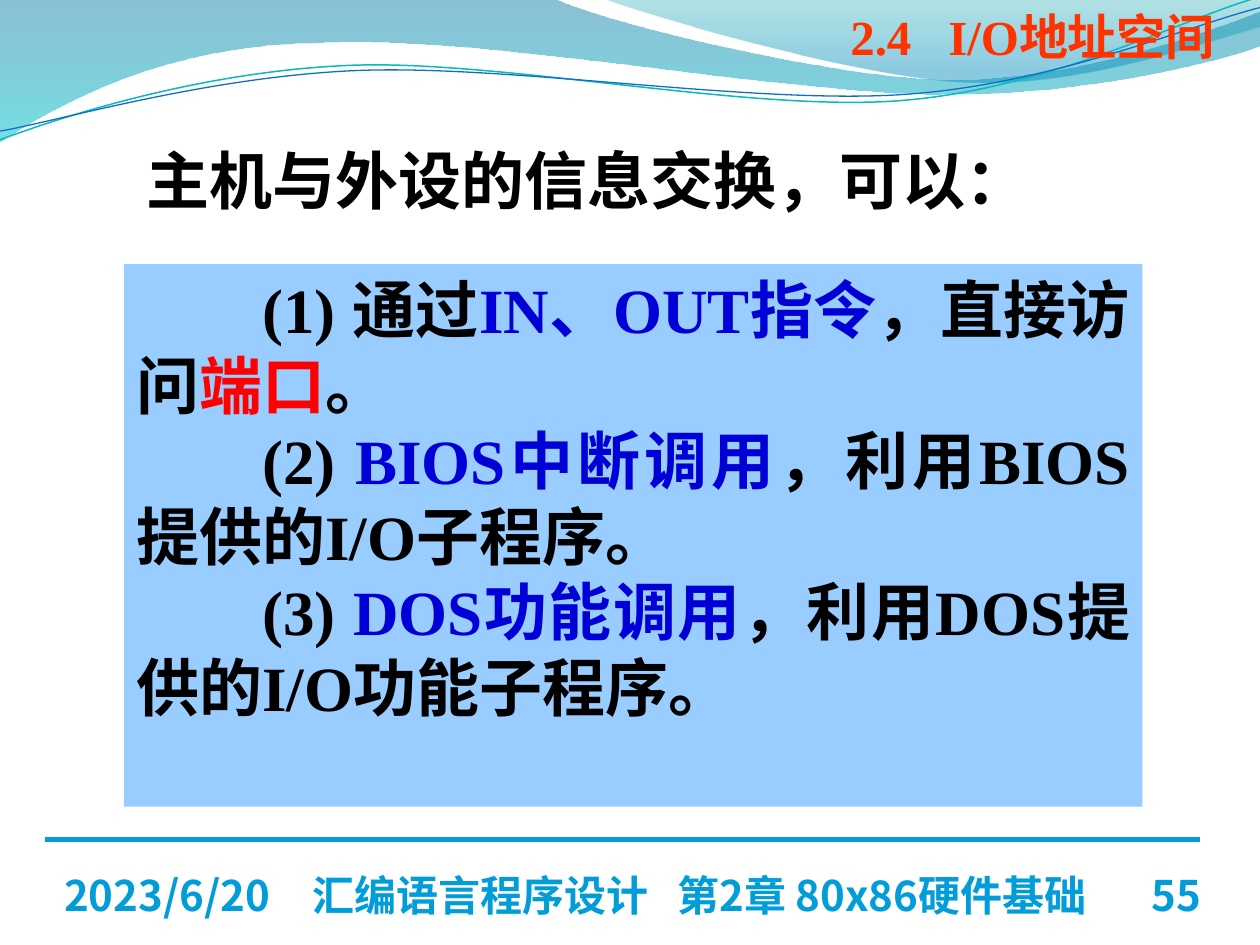
from dataclasses import dataclass

import lxml.etree
import pptx
import pptx.dml.color
import pptx.enum.shapes
import pptx.enum.text
import pptx.oxml.ns
import pptx.util

Pt = pptx.util.Pt
qn = pptx.oxml.ns.qn
Align = pptx.enum.text.PP_ALIGN
Anchor = pptx.enum.text.MSO_ANCHOR


@dataclass(frozen=True)
class Theme:
    serif: str = "Times New Roman"
    sans: str = "Noto Sans CJK JP"
    ink: str = "000000"
    term: str = "0000D6"
    alert: str = "FF0000"
    section: str = "FF3300"
    panel: str = "99CCFF"
    footer: str = "009DD9"
    teal_line: str = "0AB8BF"
    blue_line: str = "0F6FC6"
    body_size: int = 36
    section_size: int = 28
    footer_size: int = 24


THEME = Theme()

# Gradient stops: position, colour, opacity in percent
WIDE_STOPS = [(0, "0074A1", 45), (1, "00C6CF", 55)]
CORNER_STOPS = [(0, "00A1A9", 30), (0.8, "008BBF", 45)]

# Each step holds one point (straight) or three (Bezier curve)
WIDE_WAVE = [
    [(0, -0.7)], [(316.8, -0.7)],
    [(342.7, 12.2), (478.1, 45.4), (545.8, 45.4)],
    [(614.2, 45.4), (689.8, 18.7), (720, 6.5)],
    [(720.7, 25.9)],
    [(707.8, 31.7), (626.4, 54.7), (537.1, 54)],
    [(447.8, 54), (275, 20.2), (185, 24.5)],
    [(92.9, 25.2), (33.1, 59.8), (-0.7, 81.4)],
]
CORNER_WAVE = [
    [(344.9, -0.7)],
    [(366.5, 7.9), (491, 44.6), (553.7, 46.8)],
    [(616.3, 49.7), (691.9, 23), (720, 15.1)],
    [(720, 0)],
]
TEAL_CURVE = [
    [(0, 79.9)],
    [(34.6, 67), (113.8, 41), (199.4, 37.4)],
    [(284.4, 33.8), (427, 64.1), (513.4, 57.6)],
    [(599.8, 51.1), (675.4, 10.8), (718.6, -1.4)],
]
BLUE_CURVE = [
    [(0, 74.9)],
    [(33.8, 69.1), (118.1, 43.9), (203.8, 40.3)],
    [(290.2, 36.7), (429.8, 59.8), (516.2, 54)],
    [(601.9, 48.2), (677.5, 15.1), (720, 4.3)],
]

METHODS = [
    [("(1) 通过", THEME.ink), ("IN、OUT指令", THEME.term), ("，直接访问", THEME.ink),
     ("端口", THEME.alert), ("。", THEME.ink)],
    [("(2) ", THEME.ink), ("BIOS中断调用", THEME.term),
     ("，利用BIOS提供的I/O子程序。", THEME.ink)],
    [("(3) ", THEME.ink), ("DOS功能调用", THEME.term),
     ("，利用DOS提供的I/O功能子程序。", THEME.ink)],
]


def rgb(value):
    return pptx.dml.color.RGBColor.from_string(value)


def bend(outline, steps):
    """Join the three straight segments of each Bezier step into one curve."""
    segments = iter(list(outline._element.iter(qn("a:lnTo"))))
    for step in steps:
        parts = [next(segments) for _ in step]
        if len(parts) == 3:
            curve = lxml.etree.Element(qn("a:cubicBezTo"))
            parts[0].addprevious(curve)
            for part in parts:
                curve.append(part[0])
                part.getparent().remove(part)


def add_outline(slide, steps, closed):
    start, *rest = [(Pt(x), Pt(y)) for step in steps for x, y in step]
    builder = slide.shapes.build_freeform(*start)
    builder.add_line_segments(rest, close=closed)
    outline = builder.convert_to_shape()
    bend(outline, steps[1:])
    outline.shadow.inherit = False
    return outline


def add_wave(slide, steps, stops):
    wave = add_outline(slide, steps, True)
    wave.line.fill.background()
    wave.fill.gradient()
    wave.fill.gradient_angle = 270
    for stop, (position, color, _) in zip(wave.fill.gradient_stops, stops):
        stop.position = position
        stop.color.rgb = rgb(color)
    for element, (_, _, opacity) in zip(wave._element.spPr.iter(qn("a:srgbClr")), stops):
        lxml.etree.SubElement(element, qn("a:alpha")).set("val", str(opacity * 1000))


def add_curve(slide, steps, color, width):
    curve = add_outline(slide, steps, False)
    curve.fill.background()
    curve.line.color.rgb = rgb(color)
    curve.line.width = Pt(width)


def add_rule(slide, left, right, y):
    rule = slide.shapes.add_connector(
        pptx.enum.shapes.MSO_CONNECTOR.STRAIGHT, Pt(left), Pt(y), Pt(right), Pt(y))
    rule.line.color.rgb = rgb(THEME.footer)
    rule.line.width = Pt(3)
    lxml.etree.SubElement(rule._element.spPr, qn("a:effectLst"))


def format_run(run, font, size, color):
    run.font.name = font
    run.font.size = Pt(size)
    run.font.bold = True
    run.font.color.rgb = rgb(color)
    east_asian = lxml.etree.Element(qn("a:ea"))
    east_asian.set("typeface", THEME.sans)
    run._r.rPr.find(qn("a:latin")).addnext(east_asian)


def set_line(frame, text, font, size, color, align=Align.LEFT, tab=None):
    """Put one line of text in the frame, with an optional tab stop in points."""
    frame.word_wrap = True
    paragraph = frame.paragraphs[0]
    paragraph.text = text
    paragraph.alignment = align
    if tab:
        tab_list = lxml.etree.SubElement(paragraph._p.get_or_add_pPr(), qn("a:tabLst"))
        lxml.etree.SubElement(tab_list, qn("a:tab"), pos=str(Pt(tab)), algn="l")
    for run in paragraph.runs:
        format_run(run, font, size, color)


def set_title(slide, text):
    title = slide.shapes.title
    title.left, title.top, title.width, title.height = Pt(76.3), Pt(77), Pt(533), Pt(50.4)
    title.text_frame.auto_size = pptx.enum.text.MSO_AUTO_SIZE.NONE
    title.text_frame.vertical_anchor = Anchor.TOP
    set_line(title.text_frame, text, THEME.serif, THEME.body_size, THEME.ink)


def add_section_label(slide, text):
    label = slide.shapes.add_textbox(Pt(478.8), 0, Pt(241.2), Pt(41))
    set_line(label.text_frame, text, THEME.serif, THEME.section_size, THEME.section, tab=56)


def add_footer(slide, text, left, width, align=Align.LEFT, tab=None):
    frame = slide.shapes.add_textbox(Pt(left), Pt(496.8), Pt(width), Pt(28.8)).text_frame
    frame.margin_left = frame.margin_right = frame.margin_top = frame.margin_bottom = 0
    frame.vertical_anchor = Anchor.BOTTOM
    set_line(frame, text, THEME.sans, THEME.footer_size, THEME.footer, align, tab)


def add_panel(slide, items):
    panel = slide.shapes.add_shape(
        pptx.enum.shapes.MSO_SHAPE.RECTANGLE, Pt(70.8), Pt(151), Pt(582), Pt(310))
    panel.shadow.inherit = False
    panel.fill.solid()
    panel.fill.fore_color.rgb = rgb(THEME.panel)
    panel.line.fill.background()
    frame = panel.text_frame
    frame.word_wrap = True
    frame.vertical_anchor = Anchor.TOP
    for index, item in enumerate(items):
        paragraph = frame.add_paragraph() if index else frame.paragraphs[0]
        paragraph.alignment = Align.JUSTIFY
        paragraph._p.get_or_add_pPr().set("indent", str(Pt(72)))
        for text, color in item:
            run = paragraph.add_run()
            run.text = text
            format_run(run, THEME.serif, THEME.body_size, color)


def main():
    deck = pptx.Presentation()
    deck.slide_width, deck.slide_height = Pt(720), Pt(540)
    slide = deck.slides.add_slide(deck.slide_layouts[5])
    add_wave(slide, WIDE_WAVE, WIDE_STOPS)
    add_wave(slide, CORNER_WAVE, CORNER_STOPS)
    add_curve(slide, TEAL_CURVE, THEME.teal_line, 0.85)
    add_curve(slide, BLUE_CURVE, THEME.blue_line, 0.75)
    add_rule(slide, 25.5, 685.6, 479.8)
    add_section_label(slide, "2.4\tI/O地址空间")
    set_title(slide, "主机与外设的信息交换，可以：")
    add_panel(slide, METHODS)
    add_footer(slide, "2023/6/20", 36.7, 167.8)
    add_footer(slide, "汇编语言程序设计\t第2章 80x86硬件基础", 178.6, 481.7, tab=208.4)
    add_footer(slide, "55", 626.4, 59.8, Align.RIGHT)
    deck.save("out.pptx")


if __name__ == "__main__":
    main()
